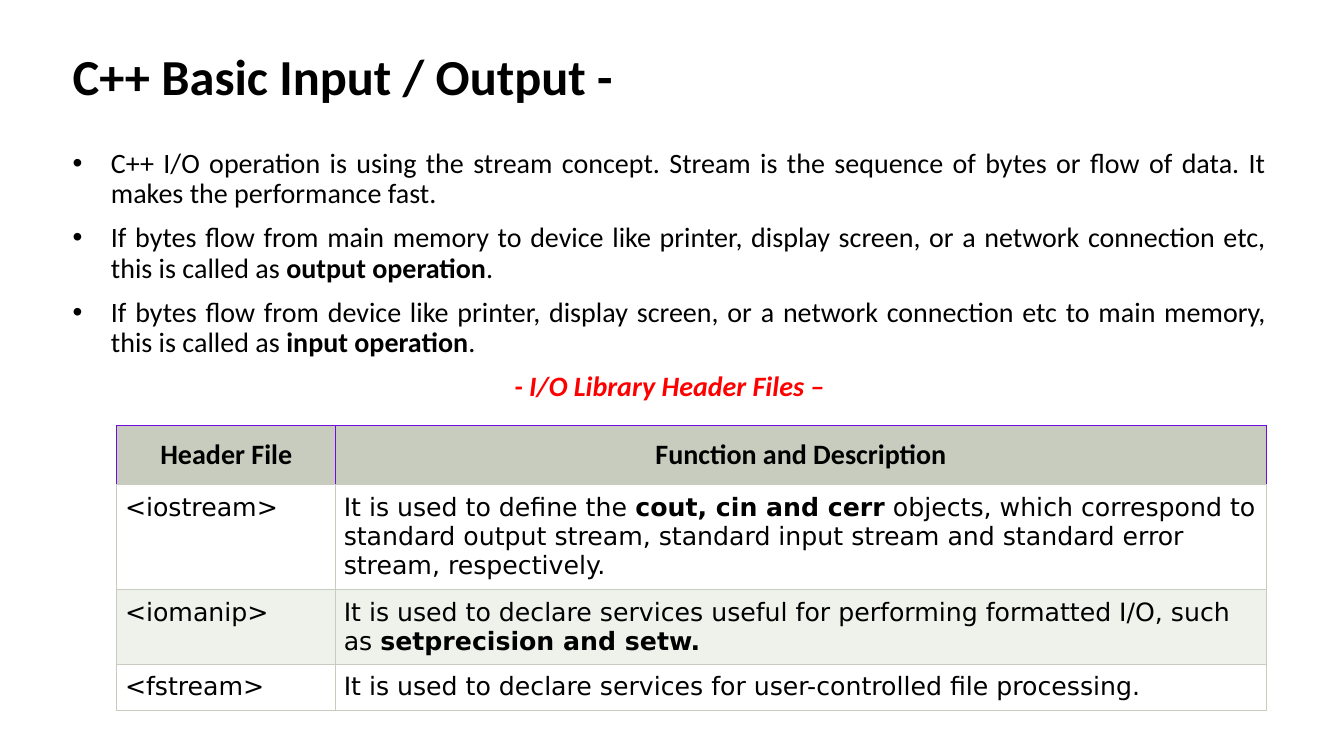
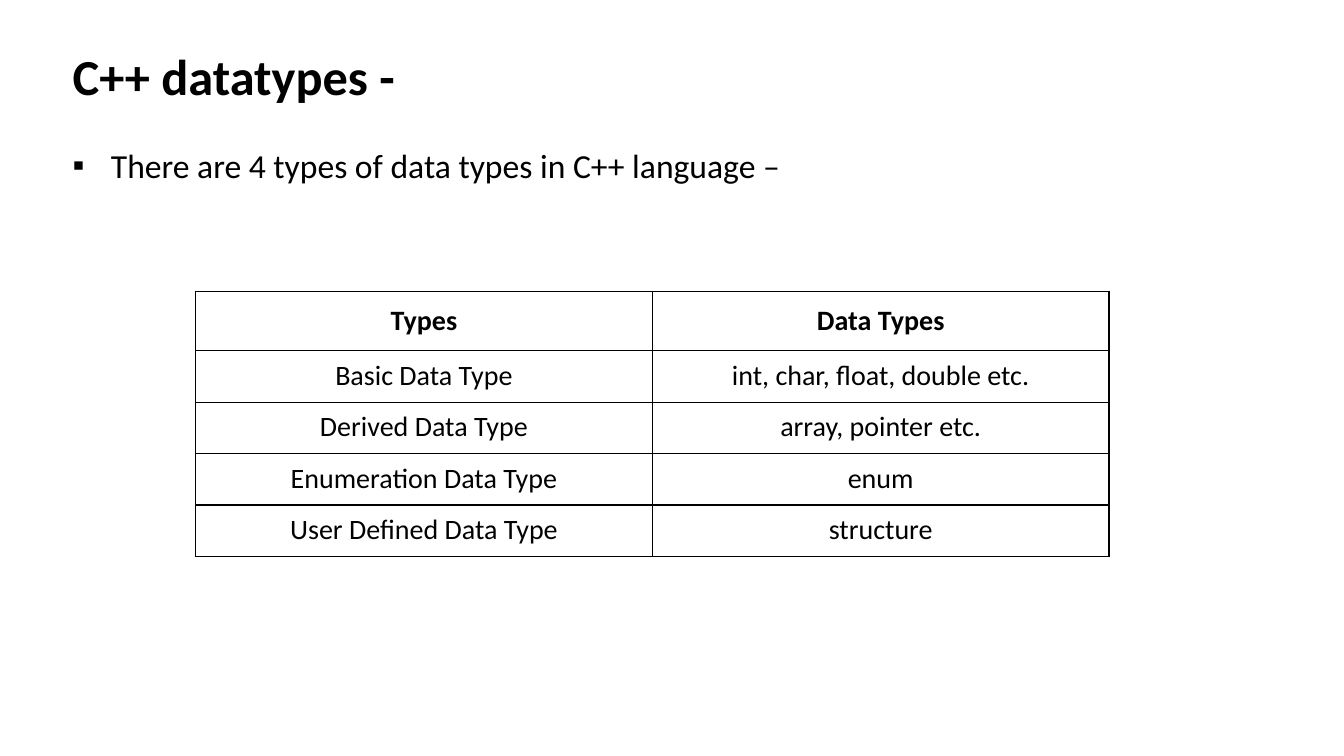
from lxml.etree import SubElement
from pptx import Presentation
from pptx.dml.color import RGBColor
from pptx.enum.text import MSO_ANCHOR as ANCHOR, MSO_AUTO_SIZE as FIT, PP_ALIGN as AL
from pptx.oxml.ns import qn
from pptx.util import Inches, Pt

SANS, WIDE = "Calibri", "DejaVu Sans"
BLACK, WHITE, RED = "000000", "FFFFFF", "FF0000"
SAGE, PALE, PURPLE = "C7CCBE", "EFF1EB", "700DDC"
LEFT, WIDTH = 0.62, 12.04
TITLE_TOP, TITLE_HEIGHT, BODY_TOP = 0.47, 0.64, 1.43
HEADER_INSET, CELL_INSET = 0.12, 0.08

SLIDES = [
    {
        "title": "C++ Basic Input / Output -",
        "bullets": [
            "C++ I/O operation is using the stream concept. Stream is the sequence of bytes or flow of data. It makes the performance fast.",
            "If bytes flow from main memory to device like printer, display screen, or a network connection etc, this is called as **output operation**.",
            "If bytes flow from device like printer, display screen, or a network connection etc to main memory, this is called as **input operation**.",
        ],
        "caption": "- I/O Library Header Files –",
        "bullet": "•", "size": 20, "body_height": 5.76,
        "table": {
            "at": (1.16, 4.22), "cols": [2.17, 9.23], "rows": [0.59, 1.04, 0.74, 0.46],
            "line": SAGE, "line_width": 0.75, "header_line": PURPLE,
            "header_fill": SAGE, "bands": [WHITE, PALE],
            "text": {"size": 18, "font": WIDE, "align": AL.LEFT},
            "cells": [
                ("Header File", "Function and Description"),
                ("<iostream>", "It is used to define the **cout, cin and cerr** objects, which correspond to standard output stream, standard input stream and standard error stream, respectively."),
                ("<iomanip>", "It is used to declare services useful for performing formatted I/O, such as **setprecision and setw.**"),
                ("<fstream>", "It is used to declare services for user-controlled file processing."),
            ],
        },
    },
    {
        "title": "C++ datatypes -",
        "bullets": ["There are 4 types of data types in C++ language –"],
        "caption": None,
        "bullet": "▪", "size": 24, "body_height": 5.52,
        "table": {
            "at": (1.94, 2.89), "cols": [4.53, 4.53], "rows": [0.59] + [0.51] * 4,
            "line": BLACK, "line_width": 1, "header_line": BLACK,
            "header_fill": None, "bands": [None],
            "text": {"size": 20, "align": AL.CENTER},
            "cells": [
                ("Types", "Data Types"),
                ("Basic Data Type", "int, char, float, double etc."),
                ("Derived Data Type", "array, pointer etc."),
                ("Enumeration Data Type", "enum"),
                ("User Defined Data Type", "structure"),
            ],
        },
    },
]


def rgb(value):
    return RGBColor.from_string(value)


def write(p, text, size=20, font=SANS, color=BLACK, bold=False, italic=False,
          align=AL.LEFT, spacing=1.0, before=0):
    p.alignment, p.line_spacing, p.space_before = align, spacing, Pt(before)
    for i, part in enumerate(text.split("**")):
        if part:
            r = p.add_run()
            r.text = part
            r.font.name, r.font.size = font, Pt(size)
            r.font.bold, r.font.italic = bold or i % 2 == 1, italic
            r.font.color.rgb = rgb(color)


def set_bullet(p, char=None, indent=0.38):
    pPr = p._p.get_or_add_pPr()
    pPr.set("marL", str(Inches(indent if char else 0)))
    pPr.set("indent", str(-Inches(indent) if char else 0))
    if char:
        SubElement(pPr, qn("a:buFont"), typeface="Arial")
        SubElement(pPr, qn("a:buChar"), char=char)
    else:
        SubElement(pPr, qn("a:buNone"))


def place(sp, top, height, anchor):
    sp.left, sp.top = Inches(LEFT), Inches(top)
    sp.width, sp.height = Inches(WIDTH), Inches(height)
    tf = sp.text_frame
    tf.word_wrap, tf.auto_size, tf.vertical_anchor = True, FIT.NONE, anchor
    return tf


def set_borders(cell, colors, width):
    tcPr = cell._tc.get_or_add_tcPr()
    for side, color in zip("LRTB", colors):
        ln = SubElement(tcPr, qn(f"a:ln{side}"), w=str(Pt(width)))
        SubElement(SubElement(ln, qn("a:solidFill")), qn("a:srgbClr"), val=color)


def set_fill(cell, color):
    if color:
        cell.fill.solid()
        cell.fill.fore_color.rgb = rgb(color)
    else:
        cell.fill.background()


def add_grid(s, spec_):
    cols, rows = spec_["cols"], spec_["rows"]
    box = [Inches(v) for v in (*spec_["at"], sum(cols), sum(rows))]
    table = s.shapes.add_table(len(rows), len(cols), *box).table
    table.first_row = table.horz_banding = False
    for col, width in zip(table.columns, cols):
        col.width = Inches(width)
    for row, height in zip(table.rows, rows):
        row.height = Inches(height)
    for y, texts in enumerate(spec_["cells"]):
        header = y == 0
        edge = spec_["header_line"] if header else spec_["line"]
        inset = Inches(HEADER_INSET if header else CELL_INSET)
        bands = spec_["bands"]
        fill = spec_["header_fill"] if header else bands[(y - 1) % len(bands)]
        style = {"bold": True, "align": AL.CENTER} if header else spec_["text"]
        for x, text in enumerate(texts):
            cell = table.cell(y, x)
            cell.margin_left = cell.margin_right = inset
            cell.margin_top = cell.margin_bottom = inset
            set_borders(cell, [edge] * 3 + [spec_["line"]], spec_["line_width"])
            set_fill(cell, fill)
            write(cell.text_frame.paragraphs[0], text, **style)


def add_slide(prs, content):
    s = prs.slides.add_slide(prs.slide_layouts[1])
    title, body = s.placeholders
    tf = place(title, TITLE_TOP, TITLE_HEIGHT, ANCHOR.BOTTOM)
    write(tf.paragraphs[0], content["title"], size=36, bold=True, spacing=0.9)
    tf = place(body, BODY_TOP, content["body_height"], ANCHOR.TOP)
    for i, text in enumerate(content["bullets"]):
        p = tf.add_paragraph() if i else tf.paragraphs[0]
        set_bullet(p, content["bullet"])
        write(p, text, size=content["size"], align=AL.JUSTIFY,
              spacing=0.9, before=10 if i else 0)
    if content["caption"]:
        p = tf.add_paragraph()
        set_bullet(p)
        write(p, content["caption"], size=content["size"], color=RED, bold=True,
              italic=True, align=AL.CENTER, spacing=0.9, before=10)
    add_grid(s, content["table"])


def main():
    prs = Presentation()
    prs.slide_width, prs.slide_height = Inches(13.33), Inches(7.5)
    for content in SLIDES:
        add_slide(prs, content)
    prs.save("out.pptx")


if __name__ == "__main__":
    main()
